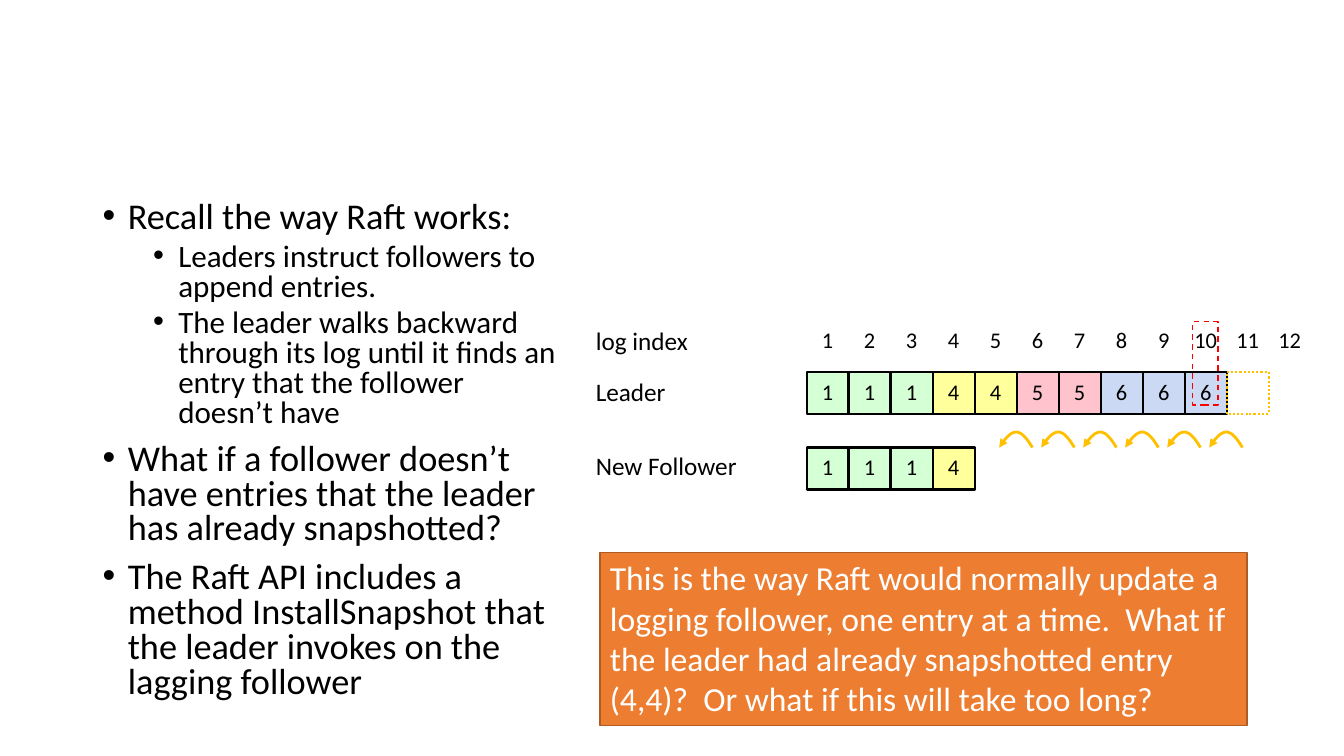
from dataclasses import dataclass

import pptx
import pptx.dml.color
import pptx.enum.dml
import pptx.enum.shapes
import pptx.enum.text
import pptx.oxml
import pptx.oxml.ns
import pptx.util
from pptx.util import Inches

RGB = pptx.dml.color.RGBColor.from_string
ALIGN = pptx.enum.text.PP_ALIGN
ANCHOR = pptx.enum.text.MSO_ANCHOR
DASH = pptx.enum.dml.MSO_LINE


@dataclass(frozen=True)
class Theme:
    font = "Calibri"
    black = "000000"
    white = "FFFFFF"
    callout_fill = "ED7D31"
    callout_line = "AF5C24"
    gold = "FFC000"
    red = "FF0000"
    terms = {1: "D5FFD5", 4: "FFFF9B", 5: "FFC3CE", 6: "CCD9F4"}
    bullet_sizes = (25.9, 22.2)
    callout_size = 24
    label_size = 18
    cell_size = 16


theme = Theme()


def write(shape, text, size, color=theme.black, align=ALIGN.LEFT, spacing=None, margin=None):
    """Put one styled paragraph in a shape; margin applies to all four sides."""
    frame = shape.text_frame
    frame.word_wrap = True
    if margin is not None:
        frame.margin_left = frame.margin_right = margin
        frame.margin_top = frame.margin_bottom = margin
    paragraph = frame.paragraphs[0]
    paragraph.text = text
    paragraph.alignment = align
    if spacing:
        paragraph.line_spacing = pptx.util.Pt(spacing)
    paragraph.font.name = theme.font
    paragraph.font.size = pptx.util.Pt(size)
    paragraph.font.color.rgb = RGB(color)


def add_box(left, top, width, height, fill, line, weight, dash=None):
    """Add a rectangle; without a fill it is see-through."""
    box = slide.shapes.add_shape(
        pptx.enum.shapes.MSO_SHAPE.RECTANGLE,
        Inches(left), Inches(top), Inches(width), Inches(height))
    box.shadow.inherit = False
    if fill:
        box.fill.solid()
        box.fill.fore_color.rgb = RGB(fill)
    else:
        box.fill.background()
    box.line.color.rgb = RGB(line)
    box.line.width = pptx.util.Pt(weight)
    if dash:
        box.line.dash_style = dash
    return box


presentation = pptx.Presentation()
presentation.slide_width = Inches(13.33)
presentation.slide_height = Inches(7.5)
slide = presentation.slides.add_slide(presentation.slide_layouts[6])

# Bullets on the left
bullets = [
    (0, "Recall the way Raft works:"),
    (1, "Leaders instruct followers to append entries."),
    (1, "The leader walks backward through its log until it finds an entry "
        "that the follower doesn’t have"),
    (0, "What if a follower doesn’t have entries that the leader has already snapshotted?"),
    (0, "The Raft API includes a method InstallSnapshot that the leader invokes "
        "on the lagging follower"),
]
body = slide.shapes.add_textbox(Inches(0.92), Inches(1.95), Inches(4.74), Inches(5.25)).text_frame
body.word_wrap = True
for number, (level, text) in enumerate(bullets):
    paragraph = body.add_paragraph() if number else body.paragraphs[0]
    paragraph.text = text
    paragraph.level = level
    properties = paragraph._p.get_or_add_pPr()
    properties.set("marL", str(Inches(0.25 + 0.5 * level)))
    properties.set("indent", str(-Inches(0.25)))
    namespace = pptx.oxml.ns.nsdecls("a")
    properties.append(pptx.oxml.parse_xml(f'<a:buFont {namespace} typeface="Arial"/>'))
    properties.append(pptx.oxml.parse_xml(f'<a:buChar {namespace} char="•"/>'))
    paragraph.line_spacing = 0.8
    if number:
        paragraph.space_before = pptx.util.Pt(5 if level else 10)
    paragraph.font.name = theme.font
    paragraph.font.size = pptx.util.Pt(theme.bullet_sizes[level])
    paragraph.font.color.rgb = RGB(theme.black)

# Callout
callout = add_box(5.95, 5.48, 6.42, 1.72, theme.callout_fill, theme.callout_line, 1)
callout.text_frame.vertical_anchor = ANCHOR.TOP
write(callout,
      "This is the way Raft would normally update a logging follower, one entry at a time.  "
      "What if the leader had already snapshotted entry (4,4)?  "
      "Or what if this will take too long?",
      theme.callout_size, theme.white)

# Logs: one cell per entry, showing its term
log_left, cell = 8, 5 / 12
leader_top, follower_top, index_top = 3.69, 4.44, 3.19
logs = [(leader_top, [1, 1, 1, 4, 4, 5, 5, 6, 6, 6]), (follower_top, [1, 1, 1, 4])]
for top, terms in logs:
    for column, term in enumerate(terms):
        entry = add_box(log_left + column * cell, top, cell, cell,
                        theme.terms[term], theme.black, 1.5)
        entry.text_frame.vertical_anchor = ANCHOR.MIDDLE
        write(entry, str(term), theme.cell_size, align=ALIGN.CENTER, spacing=17, margin=0)

for index in range(1, 13):
    width = cell if index < 10 else 0.58
    center = log_left + (index - 0.5) * cell
    label = slide.shapes.add_textbox(
        Inches(center - width / 2), Inches(index_top), Inches(width), Inches(0.37))
    write(label, str(index), theme.cell_size, align=ALIGN.CENTER)

row_labels = [
    ("log index", 3.23, 1.25, 0.3, None),
    ("Leader", 3.77, 2, 0.27, 19),
    ("New Follower", 4.47, 1.67, 0.3, None),
]
for text, top, width, height, spacing in row_labels:
    label = slide.shapes.add_textbox(Inches(5.91), Inches(top), Inches(width), Inches(height))
    write(label, text, theme.label_size, spacing=spacing, margin=0)

# Curved arrows stepping back through the leader's log
for step in reversed(range(6)):
    tip = 9.91 + step * cell
    points = [(Inches(tip + dx), Inches(y))
              for dx, y in [(0.33, 4.44), (0.21, 4.24), (0.12, 4.25), (0, 4.44)]]
    builder = slide.shapes.build_freeform(*points[0])
    builder.add_line_segments(points[1:], close=False)
    hop = builder.convert_to_shape()
    hop.shadow.inherit = False
    hop.fill.background()
    hop.line.color.rgb = RGB(theme.gold)
    hop.line.width = pptx.util.Pt(2)
    hop.line._get_or_add_ln().append(pptx.oxml.parse_xml(
        f'<a:tailEnd {pptx.oxml.ns.nsdecls("a")} type="triangle"/>'))
    # Turn the three segments into one cubic curve
    outline = hop._element.find(".//" + pptx.oxml.ns.qn("a:path"))
    curve = pptx.oxml.parse_xml(f'<a:cubicBezTo {pptx.oxml.ns.nsdecls("a")}/>')
    for segment in outline.findall(pptx.oxml.ns.qn("a:lnTo")):
        curve.append(segment[0])
        outline.remove(segment)
    outline.append(curve)

# Next free slot and the entry under discussion
add_box(log_left + 10 * cell, leader_top, cell, cell, None, theme.gold, 1.5, DASH.ROUND_DOT)
add_box(11.83, index_top, 0.25, 0.83, None, theme.red, 1, DASH.DASH)

presentation.save("out.pptx")
